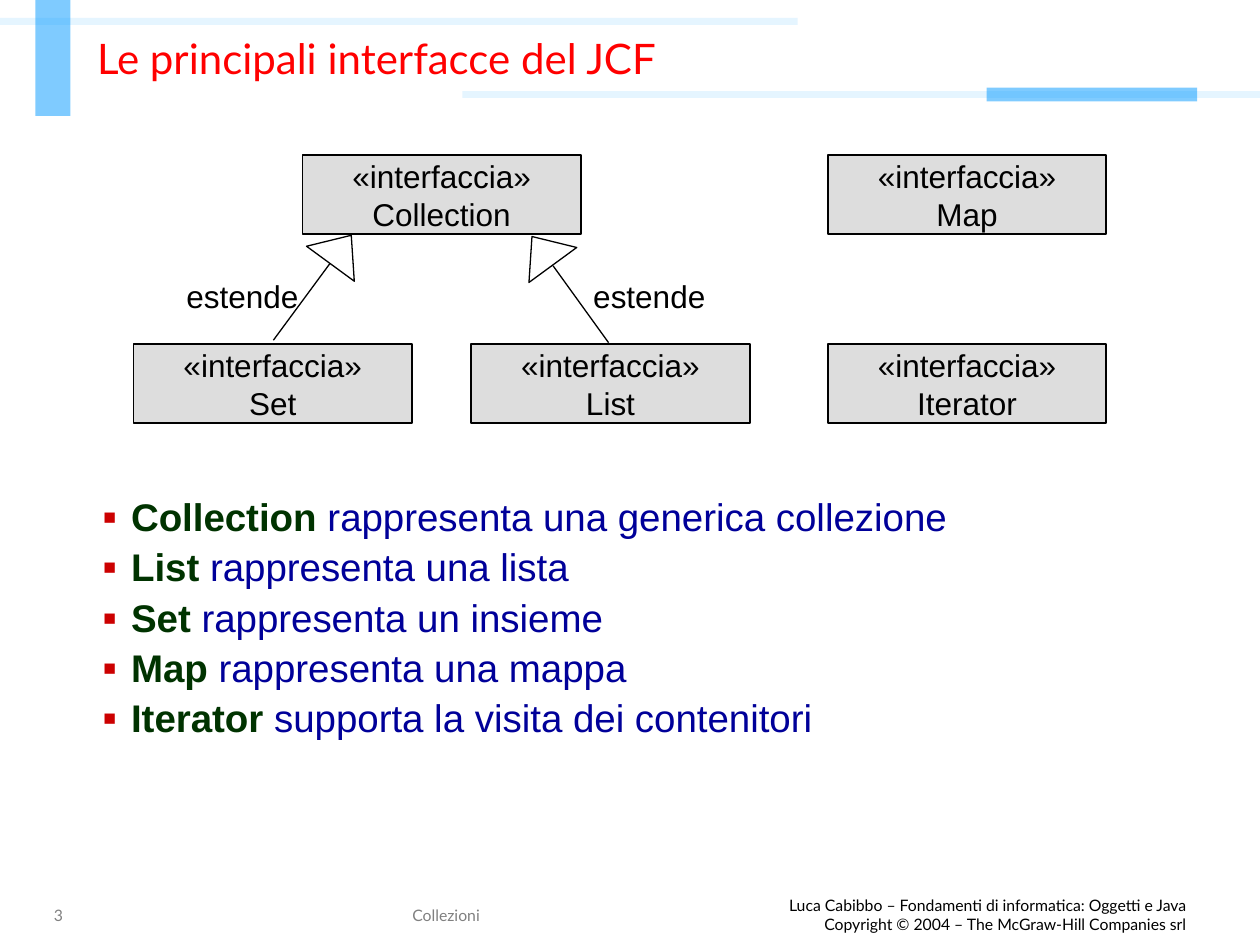
import pptx
import pptx.util
import pptx.dml.color
import pptx.enum.shapes
import pptx.enum.text
import pptx.oxml
from pptx.oxml.ns import nsdecls, qn
from lxml import etree

Inches, Pt = pptx.util.Inches, pptx.util.Pt
SHAPE = pptx.enum.shapes.MSO_SHAPE
ALIGN = pptx.enum.text.PP_ALIGN
ANCHOR = pptx.enum.text.MSO_ANCHOR

COLORS = {
    "title": "FF0000", "text": "000000", "muted": "808080",
    "term": "003300", "body": "000099", "bullet": "CC0000",
    "box": "DDDDDD", "white": "FFFFFF", "pale": "CCECFF", "bright": "0099FF",
}


def color(name):
    return pptx.dml.color.RGBColor.from_string(COLORS[name])


def style(font, size, name, face="Arial", bold=False):
    font.size, font.name, font.bold = Pt(size), face, bold
    font.color.rgb = color(name)


def place(shape, box):
    shape.left, shape.top, shape.width, shape.height = (Inches(v) for v in box)


def write(frame, text, size, name, face="Arial", align=ALIGN.LEFT, wrap=True):
    frame.word_wrap = wrap
    frame.text = text
    for para in frame.paragraphs:
        para.alignment = align
        for span in para.runs:
            style(span.font, size, name, face)


def add_label(page, box, text, size, name, face="Arial", align=ALIGN.LEFT, wrap=True):
    label = page.shapes.add_textbox(*(Inches(v) for v in box))
    write(label.text_frame, text, size, name, face, align, wrap)


def add_line(page, start, end, name, width, alpha=None):
    line = page.shapes.add_connector(
        pptx.enum.shapes.MSO_CONNECTOR.STRAIGHT,
        *(Inches(v) for v in start + end))
    line.line.color.rgb = color(name)
    line.line.width = Pt(width)
    if alpha:
        fill = line.line.fill._xPr.find(qn("a:solidFill"))
        etree.SubElement(fill[0], qn("a:alpha"), val=str(alpha * 1000))
    etree.SubElement(line._element.spPr, qn("a:effectLst"))


def add_outlined(page, kind, box, fill, width):
    shape = page.shapes.add_shape(kind, *(Inches(v) for v in box))
    shape.shadow.inherit = False
    shape.fill.solid()
    shape.fill.fore_color.rgb = color(fill)
    shape.line.color.rgb = color("text")
    shape.line.width = Pt(width)
    return shape


def add_frame(page):
    """Translucent bars around the title."""
    for start, end, name, width in (
        ((0, 0.17), (6.33, 0.17), "pale", 4),
        ((3.67, 0.75), (10, 0.75), "pale", 4),
        ((7.83, 0.75), (9.5, 0.75), "bright", 8),
        ((0.42, 0.92), (0.42, 0), "bright", 20),
    ):
        add_line(page, start, end, name, width, alpha=50)


def add_title(page, box, text):
    title = page.shapes.title
    place(title, box)
    frame = title.text_frame
    frame.auto_size = pptx.enum.text.MSO_AUTO_SIZE.NONE
    frame.vertical_anchor = ANCHOR.MIDDLE
    write(frame, text, 24, "title", "Lato")


def add_diagram(page, left, top):
    """Interfaces, with an extension arrow from Set and List to Collection."""
    width, height = 2.21, 0.63
    lower = top + 1.5
    for name, x, y in (
        ("Collection", 1.34, top), ("Map", 5.51, top),
        ("Set", 0, lower), ("List", 2.68, lower), ("Iterator", 5.51, lower),
    ):
        box = add_outlined(page, SHAPE.RECTANGLE, (left + x, y, width, height), "box", 1)
        box.text_frame.vertical_anchor = ANCHOR.MIDDLE
        write(box.text_frame, "«interfaccia»\n" + name, 18, "text",
              align=ALIGN.CENTER, wrap=False)

    for tail, head, tip, turn, label in (
        ((1.11, 1.47), (1.56, 0.86), (1.41, 0.61), 36.2, 0.32),
        ((3.77, 1.49), (3.33, 0.88), (3.01, 0.62), -36.2, 3.55),
    ):
        add_line(page, (left + tail[0], top + tail[1]),
                 (left + head[0], top + head[1]), "text", 0.75)
        triangle = add_outlined(page, SHAPE.ISOSCELES_TRIANGLE,
                                (left + tip[0], top + tip[1], 0.47, 0.28), "white", 0.75)
        triangle.rotation = turn
        add_label(page, (left + label, top + 0.92, 1.09, 0.4), "estende", 18, "text",
                  wrap=False)


def add_bullet(para):
    properties = para._p.get_or_add_pPr()
    properties.set("marL", str(Inches(0.52)))
    properties.set("indent", str(Inches(-0.22)))
    for tag, inner in (
        ("buClr", f'<a:srgbClr val="{COLORS["bullet"]}"/>'),
        ("buSzPct", None), ("buFont", None), ("buChar", None),
    ):
        attributes = {"buSzPct": 'val="55000"', "buFont": 'typeface="Arial"',
                      "buChar": 'char="■"'}.get(tag, "")
        properties.append(pptx.oxml.parse_xml(
            f'<a:{tag} {nsdecls("a")} {attributes}>{inner or ""}</a:{tag}>'))


def add_list(page, box, items):
    body = page.placeholders[1]
    place(body, box)
    frame = body.text_frame
    frame.auto_size = pptx.enum.text.MSO_AUTO_SIZE.NONE
    frame.text = "\n".join(term for term, _ in items)
    for index, (para, (_, meaning)) in enumerate(zip(frame.paragraphs, items)):
        para.level = 1
        add_bullet(para)
        para.line_spacing = 0.95
        para.space_before = Pt(1.85 if index else 0)
        para.space_after = Pt(1.85)
        style(para.runs[0].font, 22, "term", bold=True)
        span = para.add_run()
        span.text = " " + meaning
        style(span.font, 22, "body")


def add_footer(page, top):
    add_label(page, (0.33, top + 0.08, 0.65, 0.24), "3", 9, "muted", "Lato")
    add_label(page, (0.98, top + 0.08, 5.12, 0.25), "Collezioni", 9, "muted", "Lato",
              ALIGN.CENTER)
    add_label(page, (6.1, top, 3.41, 0.32),
              "Luca Cabibbo – Fondamenti di informatica: Oggetti e Java\n"
              "Copyright © 2004 – The McGraw-Hill Companies srl",
              9, "text", "Lato", ALIGN.RIGHT)


def main():
    deck = pptx.Presentation()
    deck.slide_width, deck.slide_height = Inches(10), Inches(7.5)
    page = deck.slides.add_slide(deck.slide_layouts[1])
    add_frame(page)
    add_title(page, (0.67, 0.17, 8.67, 0.58), "Le principali interfacce del JCF")
    add_diagram(page, 1.06, 1.23)
    add_list(page, (0.42, 3.89, 9.17, 3.1), [
        ("Collection", "rappresenta una generica collezione"),
        ("List", "rappresenta una lista"),
        ("Set", "rappresenta un insieme"),
        ("Map", "rappresenta una mappa"),
        ("Iterator", "supporta la visita dei contenitori"),
    ])
    add_footer(page, 7.06)
    deck.save("out.pptx")


if __name__ == "__main__":
    main()
